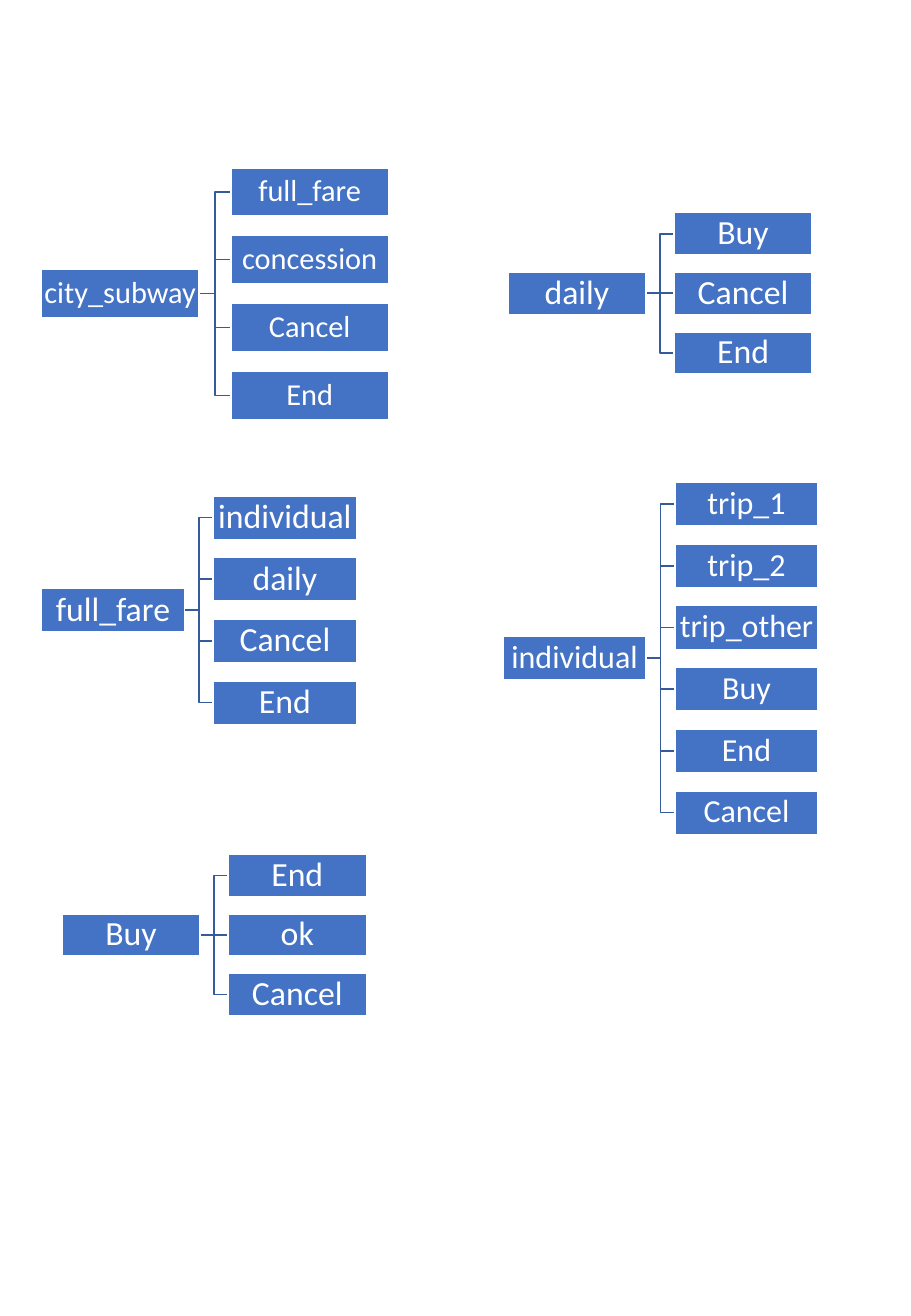
from lxml import etree
from pptx import Presentation
from pptx.dml.color import RGBColor
from pptx.enum.shapes import MSO_CONNECTOR, MSO_SHAPE
from pptx.enum.text import MSO_ANCHOR, PP_ALIGN
from pptx.oxml.ns import qn
from pptx.util import Inches, Pt

RECT = MSO_SHAPE.RECTANGLE
ELBOW, STRAIGHT = MSO_CONNECTOR.ELBOW, MSO_CONNECTOR.STRAIGHT
MIDDLE, CENTER = MSO_ANCHOR.MIDDLE, PP_ALIGN.CENTER
LEFT_SITE, RIGHT_SITE = 1, 3

COLORS = {"box": "4472C4", "link": "365B9D", "white": "FFFFFF"}
FONT = "Calibri"

# Box height, column gap and row pitch as shares of the box width
HEIGHT, GAP, PITCH = 0.305, 0.2, 0.43

# left, top, box width, font size, root, options
MENUS = [
    (0.34, 1.38, 1.3, 18, "city_subway",
     ["full_fare", "concession", "Cancel", "End"]),
    (0.34, 4.08, 1.18, 20, "full_fare",
     ["individual", "daily", "Cancel", "End"]),
    (4.14, 3.97, 1.18, 19, "individual",
     ["trip_1", "trip_2", "trip_other", "Buy", "End", "Cancel"]),
    (4.18, 1.75, 1.14, 20, "daily", ["Buy", "Cancel", "End"]),
    (0.51, 7.03, 1.14, 20, "Buy", ["End", "ok", "Cancel"]),
]


def rgb(name):
    return RGBColor.from_string(COLORS[name])


def set_text(sp, text, size, color="white"):
    tf = sp.text_frame
    tf.word_wrap = True
    tf.vertical_anchor = MIDDLE
    tf.margin_left = tf.margin_right = Inches(0.01)
    tf.margin_top = tf.margin_bottom = Inches(0.01)
    p = tf.paragraphs[0]
    p.alignment = CENTER
    p.line_spacing = 0.9
    r = p.add_run()
    r.text = text
    r.font.name = FONT
    r.font.size = Pt(size)
    r.font.color.rgb = rgb(color)


def add_box(s, left, top, width, text, size):
    sp = s.shapes.add_shape(RECT, Inches(left), Inches(top),
                            Inches(width), Inches(width * HEIGHT))
    sp.shadow.inherit = False
    sp.fill.solid()
    sp.fill.fore_color.rgb = rgb("box")
    sp.line.color.rgb = rgb("white")
    sp.line.width = Pt(1)
    set_text(sp, text, size)
    return sp


def add_link(s, root, option, kind):
    link = s.shapes.add_connector(kind, 0, 0, 0, 0)
    link.begin_connect(root, RIGHT_SITE)
    link.end_connect(option, LEFT_SITE)
    link.line.color.rgb = rgb("link")
    link.line.width = Pt(1)
    etree.SubElement(link.element.spPr, qn("a:effectLst"))
    # Keep links behind the boxes
    root.element.addprevious(link.element)


def add_menu(s, left, top, width, size, root_text, options):
    # Root is centred on the column of options
    middle = (len(options) - 1) / 2
    pitch = width * PITCH
    root = add_box(s, left, top + middle * pitch, width, root_text, size)
    for i, text in enumerate(options):
        option = add_box(s, left + width * (1 + GAP), top + i * pitch,
                         width, text, size)
        add_link(s, root, option, STRAIGHT if i == middle else ELBOW)


def main():
    prs = Presentation()
    prs.slide_width, prs.slide_height = Inches(7.5), Inches(10.83)
    s = prs.slides.add_slide(prs.slide_layouts[6])
    for menu in MENUS:
        add_menu(s, *menu)
    prs.save("out.pptx")


if __name__ == "__main__":
    main()
